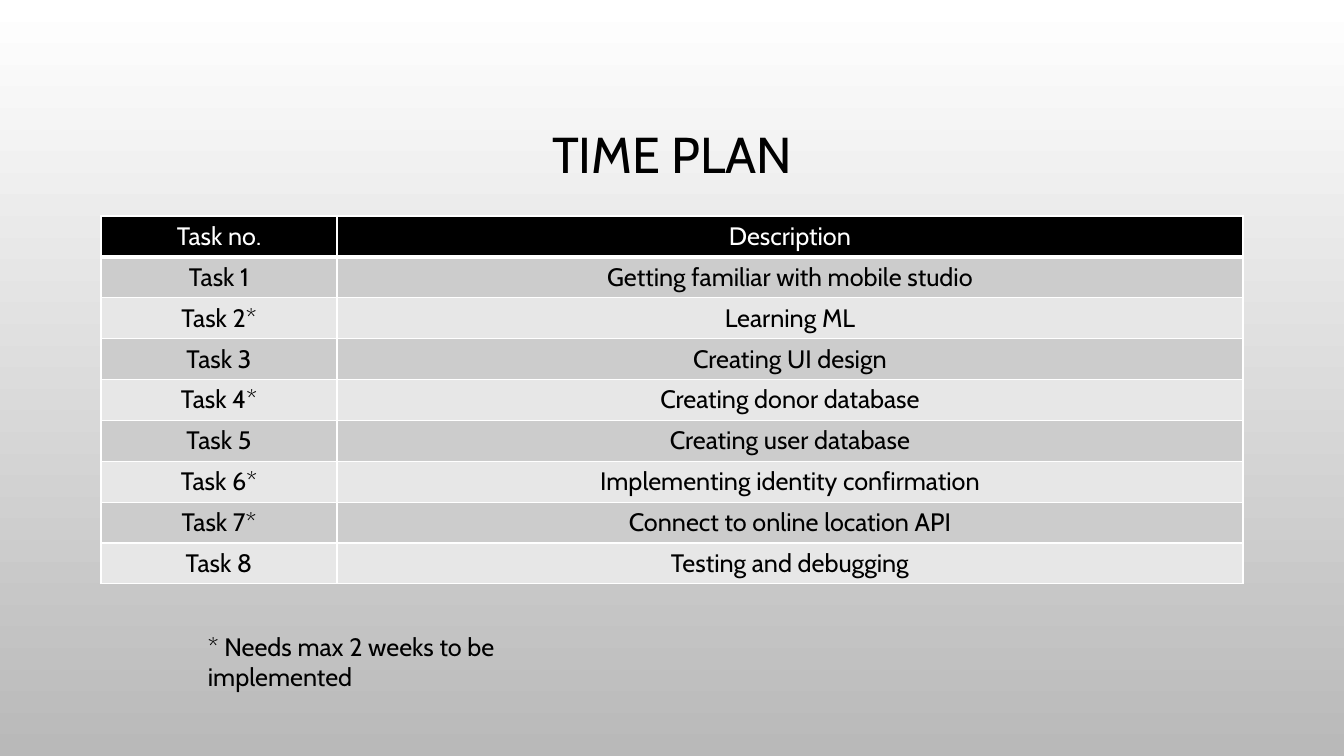
from lxml import etree
from pptx import Presentation
from pptx import util as u
from pptx.dml.color import RGBColor
from pptx.enum import text
from pptx.oxml.ns import qn


class Theme:
    font = "Cabin"
    black = "000000"
    white = "FFFFFF"
    fade = "B9B9B9"
    bands = ("CCCCCC", "E7E7E7")
    title = 36
    body = 18
    thin = 1
    thick = 3


class Deck:
    scale = 914400 / 100.8

    def __init__(self, theme, width, height):
        self.theme = theme
        self.deck = Presentation()
        self.deck.slide_width, self.deck.slide_height = self.emu(width, height)
        self.slide = self.deck.slides.add_slide(self.deck.slide_layouts[6])

    def emu(self, *sizes):
        return [u.Emu(round(size * self.scale)) for size in sizes]

    def back(self, *tints):
        fill = self.slide.background.fill
        fill.gradient()
        fill.gradient_angle = 270
        for stop, tint in zip(fill.gradient_stops, tints):
            stop.color.rgb = RGBColor.from_string(tint)

    def words(self, frame, line, size, tint, **form):
        para = frame.paragraphs[0]
        for key, value in form.items():
            setattr(para, key, value)
        run = para.add_run()
        run.text = line
        look = {"name": self.theme.font, "size": u.Pt(size), "bold": False}
        for key, value in look.items():
            setattr(run.font, key, value)
        run.font.color.rgb = RGBColor.from_string(tint)

    def label(self, box, line, size, anchor, **form):
        frame = self.slide.shapes.add_textbox(*self.emu(*box)).text_frame
        frame.word_wrap = True
        frame.vertical_anchor = anchor
        self.words(frame, line, size, self.theme.black, **form)

    def edge(self, cell, widths):
        props = cell._tc.get_or_add_tcPr()
        for spot, (side, width) in enumerate(widths.items()):
            line = etree.Element(qn("a:ln" + side), w=str(int(u.Pt(width))))
            fill = etree.SubElement(line, qn("a:solidFill"))
            etree.SubElement(fill, qn("a:srgbClr"), val=self.theme.white)
            props.insert(spot, line)

    def table(self, box, widths, rows):
        style = self.theme
        grid = self.slide.shapes.add_table(
            len(rows), len(widths), *self.emu(*box)).table
        for column, width in zip(grid.columns, self.emu(*widths)):
            column.width = width
        for r, row in enumerate(rows):
            shade = style.bands[(r - 1) % 2] if r else style.black
            tint = style.black if r else style.white
            sides = {"L": style.thin, "R": style.thin,
                     "T": style.thick if r == 1 else style.thin,
                     "B": style.thin if r else style.thick}
            for c, line in enumerate(row):
                cell = grid.cell(r, c)
                cell.fill.solid()
                cell.fill.fore_color.rgb = RGBColor.from_string(shade)
                self.edge(cell, sides)
                self.words(cell.text_frame, line, style.body, tint,
                           alignment=text.PP_ALIGN.CENTER)


theme = Theme()
plan = Deck(theme, 1344, 756)
plan.back(theme.white, theme.fade)
plan.label((101, 69, 1142, 176), "TIME PLAN", theme.title,
           text.MSO_ANCHOR.MIDDLE, alignment=text.PP_ALIGN.CENTER,
           line_spacing=0.9)
tasks = [
    ("Task no.", "Description"),
    ("Task 1", "Getting familiar with mobile studio"),
    ("Task 2*", "Learning ML"),
    ("Task 3", "Creating UI design"),
    ("Task 4*", "Creating donor database"),
    ("Task 5", "Creating user database"),
    ("Task 6*", "Implementing identity confirmation"),
    ("Task 7*", "Connect to online location API"),
    ("Task 8", "Testing and debugging"),
]
plan.table((101, 216, 1142, 368), (236, 906), tasks)
plan.label((198, 626, 440, 40), "* Needs max 2 weeks to be implemented",
           theme.body, text.MSO_ANCHOR.TOP)
plan.deck.save("out.pptx")
